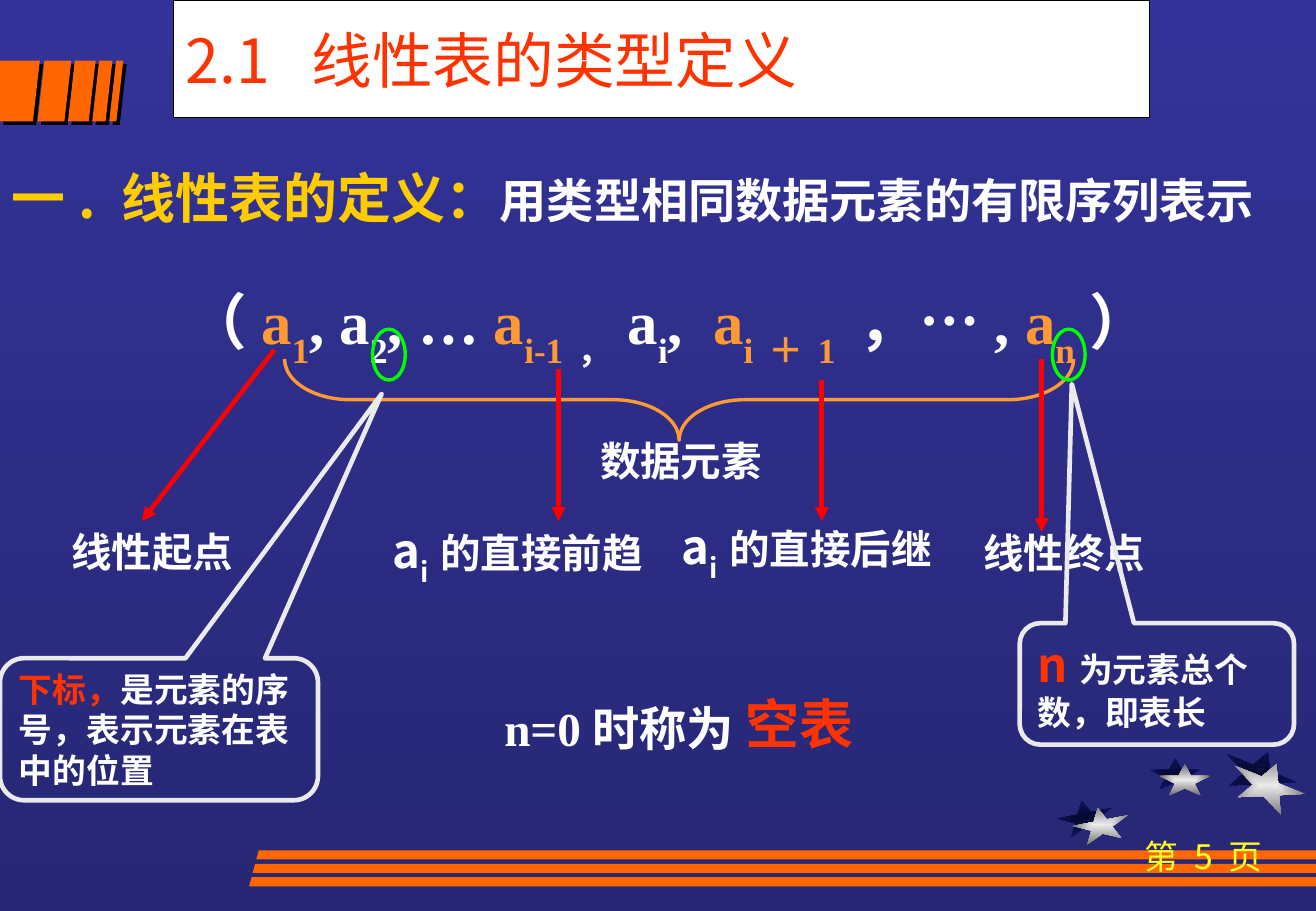
from dataclasses import dataclass

from lxml import etree
from pptx import Presentation
from pptx.dml.color import RGBColor
from pptx.enum.shapes import MSO_CONNECTOR, MSO_SHAPE
from pptx.enum.text import MSO_ANCHOR, PP_ALIGN
from pptx.oxml.ns import qn
from pptx.util import Pt

STRAIGHT = MSO_CONNECTOR.STRAIGHT
RECTANGLE, ELLIPSE = MSO_SHAPE.RECTANGLE, MSO_SHAPE.OVAL
BRACE, CALLOUT = MSO_SHAPE.LEFT_BRACE, MSO_SHAPE.ROUNDED_RECTANGULAR_CALLOUT
TOP, MIDDLE = MSO_ANCHOR.TOP, MSO_ANCHOR.MIDDLE
LEFT, CENTER, JUSTIFY = PP_ALIGN.LEFT, PP_ALIGN.CENTER, PP_ALIGN.JUSTIFY

SERIF, SANS = "Times New Roman", "Noto Sans CJK SC"
WHITE, ORANGE, YELLOW = "FFFFFF", "FF6600", "FFCC00"
RED, AMBER, SILVER = "FF3300", "FF9933", "EAEAEA"
WIDTH, HEIGHT = 780.48, 540
STAR = [(0, 0.38), (0.38, 0.38), (0.5, 0), (0.62, 0.38), (1, 0.38),
        (0.69, 0.62), (0.81, 1), (0.5, 0.77), (0.19, 1), (0.31, 0.62)]


@dataclass
class Box:
    left: float
    top: float
    width: float
    height: float

    def emu(self) -> list:
        return [Pt(v) for v in (self.left, self.top, self.width, self.height)]


@dataclass
class Run:
    text: str
    size: float
    color: str = WHITE
    font: str = SERIF
    bold: bool = True
    subscript: bool = False
    tracking: float = 0


@dataclass
class Label:
    box: Box
    runs: list[Run]
    align: int = CENTER
    anchor: int = MIDDLE


@dataclass
class Outline:
    box: Box
    kind: int
    color: str
    weight: float
    adjustments: tuple = ()
    rotation: float = 0
    runs: tuple = ()


def rgb(color: str) -> RGBColor:
    return RGBColor.from_string(color)


def set_gradient(fill, colors: tuple[str, str]) -> None:
    fill.gradient()
    for stop, color in zip(fill.gradient_stops, colors):
        stop.color.rgb = rgb(color)


def write(shape, runs, align: int, anchor: int) -> None:
    frame = shape.text_frame
    frame.word_wrap = True
    frame.vertical_anchor = anchor
    paragraph = frame.paragraphs[0]
    paragraph.alignment = align
    for item in runs:
        run = paragraph.add_run()
        run.text = item.text
        font = run.font
        font.size, font.bold, font.name = Pt(item.size), item.bold, item.font
        font.color.rgb = rgb(item.color)
        properties = run._r.get_or_add_rPr()
        if item.subscript:
            properties.set("baseline", "-30000")
        if item.tracking:
            properties.set("spc", str(round(item.tracking * 100)))
        etree.SubElement(properties, qn("a:ea")).set("typeface", SANS)


def draw_label(slide, label: Label) -> None:
    write(slide.shapes.add_textbox(*label.box.emu()), label.runs, label.align, label.anchor)


def draw_outline(slide, item: Outline) -> None:
    shape = slide.shapes.add_shape(item.kind, *item.box.emu())
    shape.shadow.inherit = False
    shape.fill.background()
    shape.line.color.rgb = rgb(item.color)
    shape.line.width = Pt(item.weight)
    shape.rotation = item.rotation
    for index, value in enumerate(item.adjustments):
        shape.adjustments[index] = value
    if item.runs:
        write(shape, item.runs, LEFT, MIDDLE)


def draw_polygon(slide, points: list[tuple[float, float]]):
    corners = [(Pt(x), Pt(y)) for x, y in points]
    builder = slide.shapes.build_freeform(*corners[0])
    builder.add_line_segments(corners[1:], close=True)
    shape = builder.convert_to_shape()
    shape.shadow.inherit = False
    shape.line.fill.background()
    return shape


def draw_star(slide, box: Box, rotation: float, colors: tuple[str, str]) -> None:
    star = draw_polygon(slide, [(box.left + x * box.width, box.top + y * box.height) for x, y in STAR])
    star.rotation = rotation
    set_gradient(star.fill, colors)
    gradient = star._element.spPr.find(qn("a:gradFill"))
    gradient.remove(gradient.find(qn("a:lin")))
    center = etree.SubElement(gradient, qn("a:path"), path="rect")
    etree.SubElement(center, qn("a:fillToRect"), l="50000", t="50000", r="50000", b="50000")


def draw_bar(slide, points: list[tuple[float, float]], shadowed: bool) -> None:
    bar = draw_polygon(slide, points)
    bar.fill.solid()
    bar.fill.fore_color.rgb = rgb(ORANGE)
    if shadowed:
        effects = bar._element.spPr.find(qn("a:effectLst"))
        shadow = etree.SubElement(effects, qn("a:outerShdw"), dist=str(Pt(2.8)), dir="2700000")
        etree.SubElement(shadow, qn("a:srgbClr"), val="000000")


def draw_arrow(slide, start: tuple[float, float], end: tuple[float, float]) -> None:
    arrow = slide.shapes.add_connector(STRAIGHT, *[Pt(v) for v in (*start, *end)])
    arrow.line.color.rgb = rgb("FF0000")
    arrow.line.width = Pt(2.75)
    etree.SubElement(arrow.line._get_or_add_ln(), qn("a:tailEnd"), type="triangle")
    etree.SubElement(arrow._element.spPr, qn("a:effectLst"))


def draw_decoration(slide) -> None:
    for colors, boxes in (
        (("060A2F", "0D1565"), (Box(627, 474.5, 33, 20), Box(682, 449.3, 30.2, 18.7), Box(725, 445, 44, 26.6))),
        ((SILVER, "6C6C6C"), (Box(636.5, 478.8, 33, 20), Box(687.6, 452.9, 30.2, 18.7), Box(730, 452, 44, 26.6))),
    ):
        for box, rotation in zip(boxes, (349, 0, 22)):
            draw_star(slide, box, rotation, colors)
    for left, right in ((0, 19.5), (22.3, 38.2), (40.3, 52.6), (54.7, 62.6), (64.8, 69)):
        lean = 4.1 if left else 0
        draw_bar(slide, [(left + lean, 36), (right + 4.1, 36), (right, 72), (left, 72)], True)
    for index in range(3):
        top, left = 504 + 8 * index, 152 - 2.15 * index
        draw_bar(slide, [(left, top + 5.4), (WIDTH, top + 5.4), (WIDTH, top), (left + 1.5, top)], False)


def neighbour(relation: str) -> list[Run]:
    return [Run("a", 28, font=SANS), Run("i", 28, font=SANS, subscript=True), Run(relation, 24, font=SANS)]


def main() -> None:
    deck = Presentation()
    deck.slide_width, deck.slide_height = Pt(WIDTH), Pt(HEIGHT)
    slide = deck.slides.add_slide(deck.slide_layouts[6])
    backdrop = slide.background.fill
    set_gradient(backdrop, ("333399", "272775"))
    backdrop.gradient_angle = 270
    draw_decoration(slide)

    title = slide.shapes.add_shape(RECTANGLE, *Box(103, 0, 579, 69.8).emu())
    title.shadow.inherit = False
    title.fill.solid()
    title.fill.fore_color.rgb = rgb(WHITE)
    title.line.color.rgb = rgb("000000")
    title.line.width = Pt(0.75)
    write(title, [Run("2.1", 36, RED, SANS, False), Run(" ", 36, RED, SANS, False, tracking=8),
                  Run("线性表的类型定义", 36, RED, SANS, False)], LEFT, MIDDLE)

    sequence = [
        Run(text, 36, color, subscript=low, tracking=gap) for text, color, low, gap in (
            ("（", WHITE, False, 0), ("a", AMBER, False, 0), ("1", AMBER, True, 0),
            (", a", WHITE, False, 0), ("2", WHITE, True, 0), (", … ", WHITE, False, 0),
            ("a", AMBER, False, 0), ("i-1", AMBER, True, 0), ("，", WHITE, True, 0),
            ("a", WHITE, False, 0), ("i", WHITE, True, 0), (",", WHITE, False, 0),
            (" ", WHITE, False, 9), ("a", AMBER, False, 0), ("i＋1 ", AMBER, True, 0),
            ("，…, ", WHITE, False, 0), ("a", AMBER, False, 0), ("n", AMBER, True, 0),
            ("）", WHITE, False, 0))]
    for label in (
        Label(Box(648, 491.8, 131.8, 60.5), [Run("第 5 页", 20, "FFFF25", SANS, False)], anchor=TOP),
        Label(Box(58.3, 164.9, 676, 137.5), sequence, anchor=TOP),
        Label(Box(0, 93.6, 779.8, 46), [Run("一. 线性表的定义：", 32, YELLOW, SANS),
                                        Run("用类型相同数据元素的有限序列表示", 28, font=SANS)], JUSTIFY),
        Label(Box(285.8, 411, 162.7, 41), [Run("n=0时称为", 28)]),
        Label(Box(429, 405.4, 90.7, 46), [Run("空表", 32, RED)]),
        Label(Box(343.4, 254.9, 121, 36), [Run("数据元素", 24)]),
        Label(Box(18.7, 308.9, 143.3, 36), [Run("线性起点", 24)]),
        Label(Box(562.3, 309.6, 137.5, 36), [Run("线性终点", 24)]),
        Label(Box(219.6, 305.3, 175, 46.8), neighbour("的直接前趋")),
        Label(Box(394.6, 303.1, 167.8, 46.8), neighbour("的直接后继")),
    ):
        draw_label(slide, label)

    for item in (
        Outline(Box(378.7, 2.9, 48.2, 468), BRACE, AMBER, 2, (0.81, 0.5), 270),
        Outline(Box(0, 390.2, 188.6, 84.2), CALLOUT, SILVER, 2.75, (0.7, -2.36, 0.17),
                runs=(Run("下标，", 20, RED), Run("是元素的序号，表示元素在表中的位置", 20))),
        Outline(Box(604.8, 369.4, 162.7, 72), CALLOUT, SILVER, 2.75, (-0.31, -2.47, 0.17),
                runs=(Run("n", 28, RED, SANS), Run("为元素总个数，即表长", 20, font=SANS))),
        Outline(Box(221, 195.1, 19.4, 30.2), ELLIPSE, "00FF00", 2),
        Outline(Box(624.2, 195.1, 19.4, 30.2), ELLIPSE, "00FF00", 2),
    ):
        draw_outline(slide, item)

    for start, end in (((162.7, 207.4), (84.2, 308.9)), ((617.8, 213), (617.8, 315.4)),
                       ((331.2, 218.9), (331.2, 308.9)), ((487.4, 225.4), (487.4, 308.9))):
        draw_arrow(slide, start, end)
    deck.save("out.pptx")


if __name__ == "__main__":
    main()
